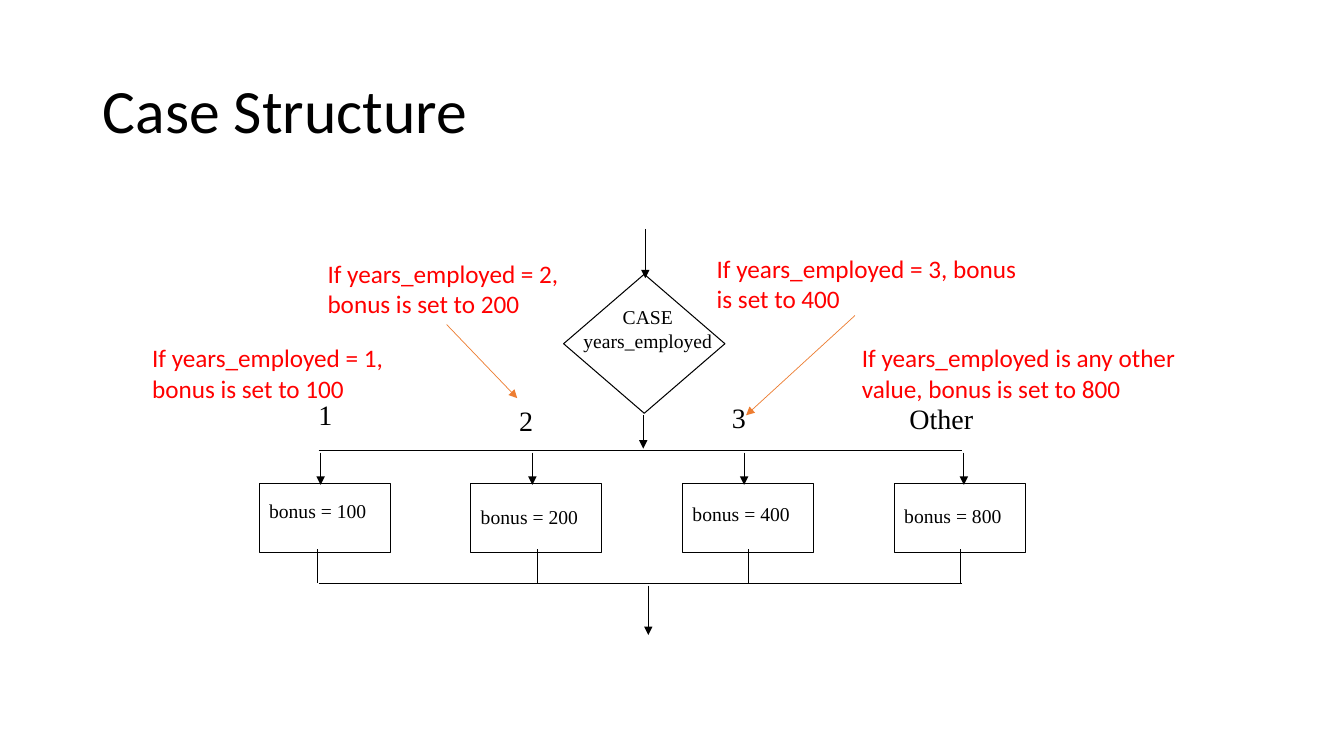
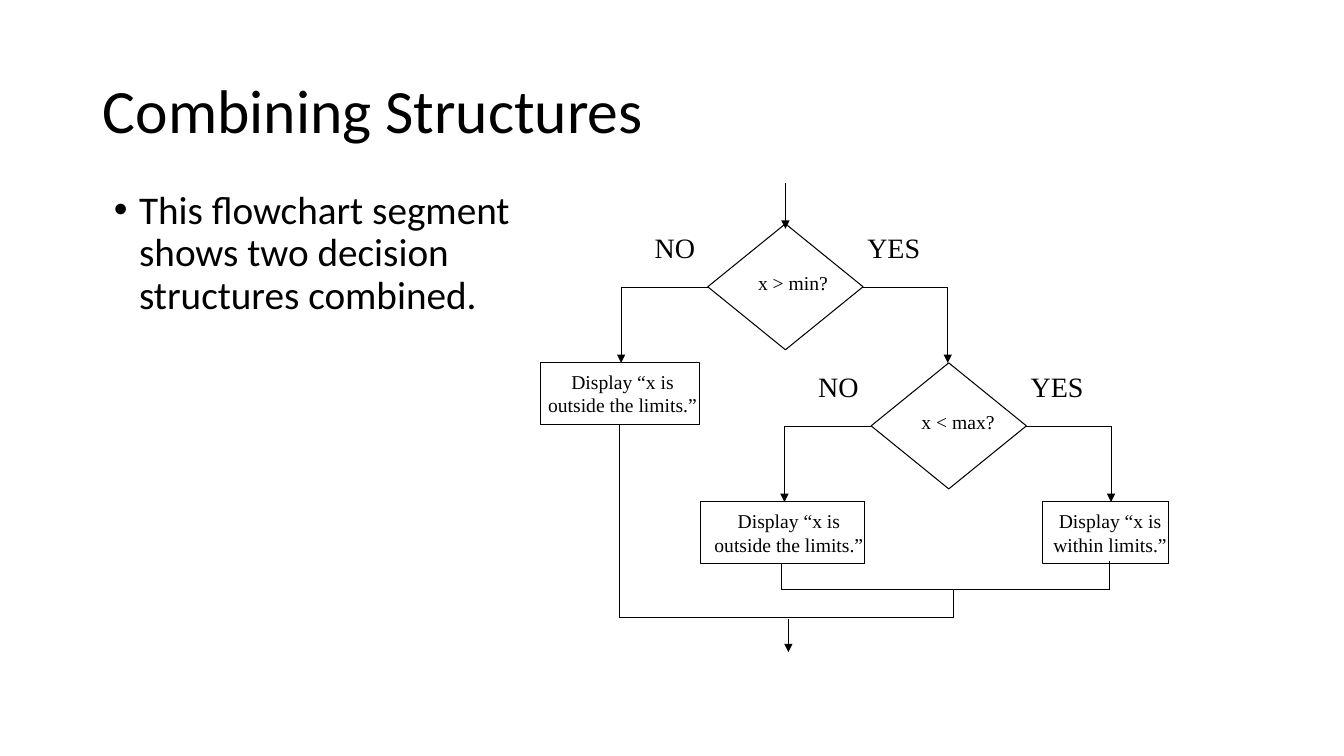
from dataclasses import dataclass
from typing import Any
from lxml import etree
from pptx import Presentation
from pptx import util as u
from pptx.dml import color
from pptx.enum import shapes, text
from pptx.oxml import ns

HUES = {"ink": "000000", "note": "FF0000", "arrow": "ED7D31"}
SANS, SERIF = "Calibri", "Times New Roman"
LEFT, MID = text.PP_ALIGN.LEFT, text.PP_ALIGN.CENTER
RECT = shapes.MSO_SHAPE.RECTANGLE
GEM = shapes.MSO_SHAPE.FLOWCHART_DECISION


def rgb(hue):
    """Return the named colour."""
    return color.RGBColor.from_string(HUES[hue])


def inches(*nums):
    """Turn numbers into lengths."""
    return [u.Inches(num) for num in nums]


def style(frame, size, face, hue="ink", align=LEFT):
    """Format every paragraph and run of a text frame."""
    for para in frame.paragraphs:
        para.alignment = align
        for run in para.runs:
            run.font.size = u.Pt(size)
            run.font.name = face
            run.font.color.rgb = rgb(hue)


@dataclass
class Pane:
    """A region of a slide; all places are relative to its corner."""
    slide: Any
    left: float
    top: float

    def line(self, *points, tip=False, hue="ink", width=0.75):
        """Join points with straight lines, with an arrow on the last."""
        for start, end in zip(points, points[1:]):
            ends = [self.left + start[0], self.top + start[1],
                    self.left + end[0], self.top + end[1]]
            link = self.slide.shapes.add_connector(
                shapes.MSO_CONNECTOR.STRAIGHT, *inches(*ends))
            link.line.color.rgb = rgb(hue)
            link.line.width = u.Pt(width)
            if tip and end == points[-1]:
                etree.SubElement(link.line._get_or_add_ln(),
                                 ns.qn("a:tailEnd"), type="triangle")
            etree.SubElement(link._element.spPr, ns.qn("a:effectLst"))

    def shape(self, kind, x, y, wide, high):
        """Draw an outlined, unfilled shape."""
        item = self.slide.shapes.add_shape(
            kind, *inches(self.left + x, self.top + y, wide, high))
        item.shadow.inherit = False
        item.fill.background()
        item.line.color.rgb = rgb("ink")
        item.line.width = u.Pt(0.75)

    def label(self, words, x, y, wide, high, size=14, face=SERIF,
              hue="ink", align=LEFT):
        """Write a wrapped text box."""
        box = self.slide.shapes.add_textbox(
            *inches(self.left + x, self.top + y, wide, high))
        frame = box.text_frame
        frame.word_wrap = True
        frame.text = words
        style(frame, size, face, hue, align)


def place(holder, box):
    """Move a placeholder into a box."""
    holder.left, holder.top, holder.width, holder.height = inches(*box)
    holder.text_frame.auto_size = text.MSO_AUTO_SIZE.NONE


def start(deck, layout, title):
    """Add a slide with the shared title style."""
    slide = deck.slides.add_slide(deck.slide_layouts[layout])
    head = slide.shapes.title
    place(head, (0.92, 0.4, 11.5, 1.45))
    frame = head.text_frame
    frame.text = title
    frame.vertical_anchor = text.MSO_ANCHOR.MIDDLE
    frame.paragraphs[0].line_spacing = 0.9
    style(frame, 44, SANS)
    return slide


def bullet(slide, words, box):
    """Fill the body placeholder with one bullet."""
    body = slide.placeholders[1]
    place(body, box)
    frame = body.text_frame
    frame.text = words
    para = frame.paragraphs[0]
    para.line_spacing = 0.9
    para.space_before = u.Pt(10)
    style(frame, 28, SANS)
    props = para._p.get_or_add_pPr()
    props.set("marL", str(u.Inches(0.25)))
    props.set("indent", str(u.Inches(-0.25)))
    etree.SubElement(props, ns.qn("a:buChar"), char="•")


def case(pane):
    """Draw the case flowchart with its four branches."""
    pane.shape(GEM, 3.02, 0.45, 1.6, 1.38)
    pane.label("CASE\vyears_employed", 2.8, 0.71, 2.11, 0.63, align=MID)
    pane.line((3.83, 0), (3.83, 0.49), tip=True)
    pane.line((3.81, 1.85), (3.81, 2.18), tip=True)
    for rail in (2.2, 3.52):
        pane.line((0.59, rail), (6.97, rail))
    pane.line((3.86, 3.54), (3.86, 4.03), tip=True)
    # value, its x, y and width, bonus, its y, x of the lines in and out
    arms = [("1", 0.49, 1.62, 0.36, 100, 2.63, 0.61, 0.58),
            ("2", 2.48, 1.68, 0.36, 200, 2.69, 2.71, 2.76),
            ("3", 4.59, 1.65, 0.36, 400, 2.66, 4.81, 4.85),
            ("Other", 6.35, 1.66, 1.08, 800, 2.68, 6.99, 6.96)]
    for i, (value, x, y, wide, bonus, row, enter, leave) in enumerate(arms):
        left = 2.1 * i
        pane.shape(RECT, left, 2.53, 1.3, 0.68)
        pane.label(f"bonus = {bonus}", left, row, 1.3, 0.37)
        pane.label(value, x, y, wide, 0.48, size=20)
        pane.line((enter, 2.22), (enter, 2.54), tip=True)
        pane.line((leave, 3.51), (leave, 3.18))


def notes(pane):
    """Write the red remarks and their arrows."""
    rows = [("= 2, bonus is set to 200", 1.74, 0.05, 2.55),
            ("= 3, bonus is set to 400", 5.6, 0, 3.17),
            ("is any other value, bonus is set to 800", 7.04, 0.89, 3.65),
            ("= 1, bonus is set to 100", 0, 0.89, 2.55)]
    for words, x, y, wide in rows:
        pane.label(f"If years_employed {words}", x, y, wide, 0.71,
                   size=18, face=SANS, hue="note")
    for ends in (((3.02, 0.76), (3.72, 1.49)), ((7.07, 0.67), (5.99, 1.66))):
        pane.line(*ends, tip=True, hue="arrow", width=0.5)


def decide(pane, test):
    """Draw a decision with its NO and YES arms."""
    pane.shape(GEM, 0, 0, 1.54, 1.25)
    pane.label(test, 0.4, 0.42, 0.94, 0.33)
    for word, x, near, far in (("NO", -0.74, 0, -0.86),
                               ("YES", 1.43, 1.53, 2.38)):
        pane.label(word, x, 0.02, 0.83, 0.43, size=20, align=MID)
        pane.line((near, 0.63), (far, 0.63), (far, 1.38), tip=True)


def combo(pane):
    """Draw the two nested decisions and their outcomes."""
    pane.line((2.52, 0), (2.52, 0.45), tip=True)
    for test, x, y in (("x > min?", 1.75, 0.4), ("x < max?", 3.37, 1.78)):
        decide(Pane(pane.slide, pane.left + x, pane.top + y), test)
    # outcome, x, y and width of the box, x and width of the text
    ends = [("outside the", 0.09, 1.78, 1.58, 0, 1.81),
            ("outside the", 1.68, 3.16, 1.62, 1.65, 1.81),
            ("within", 5.07, 3.16, 1.25, 5.05, 1.38)]
    for word, x, y, wide, left, span in ends:
        pane.shape(RECT, x, y, wide, 0.61)
        pane.label(f"Display “x is {word} limits.”", left, y + 0.02,
                   span, 0.57, align=MID)
    pane.line((5.73, 3.75), (5.73, 4.03), (2.48, 4.03), (2.48, 3.77))
    pane.line((0.87, 2.39), (0.87, 4.31), (4.19, 4.31), (4.19, 4.03))
    pane.line((2.55, 4.32), (2.55, 4.65), tip=True)


def main():
    """Build and save both slides."""
    deck = Presentation()
    deck.slide_width, deck.slide_height = inches(13.33, 7.5)

    slide = start(deck, 5, "Case Structure")
    case(Pane(slide, 2.57, 2.27))
    notes(Pane(slide, 1.41, 2.46))

    slide = start(deck, 1, "Combining Structures")
    bullet(slide, "This flowchart segment \vshows two decision \v"
           "structures combined.", (1.03, 1.84, 11.5, 4.76))
    combo(Pane(slide, 5.27, 1.82))

    deck.save("out.pptx")


main()
